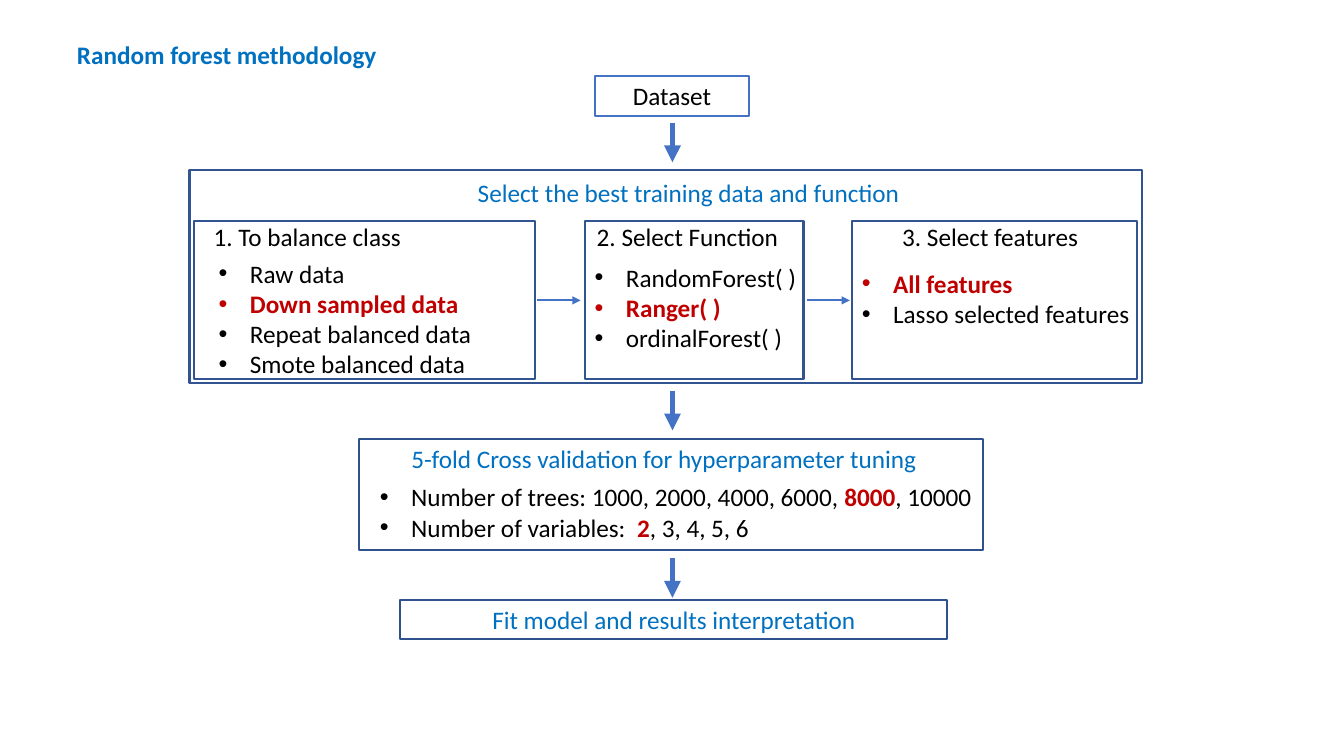
import dataclasses
import typing

import lxml.etree
import pptx
import pptx.dml.color
import pptx.enum.shapes
import pptx.enum.text
import pptx.oxml.ns
import pptx.util

Inches = pptx.util.Inches
Pt = pptx.util.Pt
RGBColor = pptx.dml.color.RGBColor
Align = pptx.enum.text.PP_ALIGN

BLACK = RGBColor(0x00, 0x00, 0x00)
RED = RGBColor(0xC0, 0x00, 0x00)
HEADING_BLUE = RGBColor(0x00, 0x70, 0xC0)
ARROW_BLUE = RGBColor(0x44, 0x72, 0xC4)
PANEL_BLUE = RGBColor(0x32, 0x54, 0x91)
STEP_BLUE = RGBColor(0x2F, 0x52, 0x8F)

FONT_FORMAT = {"name": "Calibri", "size": Pt(18)}
FRAME_FORMAT = {"vertical_anchor": pptx.enum.text.MSO_ANCHOR.TOP}
BULLET_INDENT = Inches(0.31)
FLOW_X = 6.67
STEP_TOP, STEP_HEIGHT = 2.19, 1.57
STEP_ARROW_Y = 2.98


@dataclasses.dataclass(frozen=True)
class Box:
    left: float
    top: float
    width: float
    height: float
    color: RGBColor


@dataclasses.dataclass(frozen=True)
class Words:
    text: str
    color: RGBColor = BLACK
    bold: bool = False


@dataclasses.dataclass(frozen=True)
class Label:
    left: float
    top: float
    width: float
    height: float
    lines: typing.Tuple[typing.Tuple[Words, ...], ...]
    alignment: Align = Align.LEFT
    bulleted: bool = False
    wrap: bool = True


@dataclasses.dataclass(frozen=True)
class Arrow:
    start_x: float
    start_y: float
    end_x: float
    end_y: float
    weight: float


def plain(text: str) -> typing.Tuple[Words, ...]:
    return (Words(text),)


def chosen(text: str) -> typing.Tuple[Words, ...]:
    return (Words(text, RED, True),)


def heading(text: str, bold: bool = False) -> typing.Tuple[Words, ...]:
    return (Words(text, HEADING_BLUE, bold),)


BOXES = [
    Box(5.9, 0.75, 1.53, 0.4, ARROW_BLUE),
    Box(1.88, 1.69, 9.45, 2.11, PANEL_BLUE),
    *(
        Box(left, STEP_TOP, width, STEP_HEIGHT, PANEL_BLUE)
        for left, width in ((1.92, 3.39), (5.8, 2.17), (8.45, 2.83))
    ),
    Box(3.56, 4.36, 6.19, 1.1, STEP_BLUE),
    Box(3.97, 5.95, 5.42, 0.39, STEP_BLUE),
]

LABELS = [
    Label(0.65, 0.34, 3.2, 0.4, (heading("Random forest methodology", True),),
          Align.CENTER, wrap=False),
    Label(5.9, 0.75, 1.53, 0.4, (plain("Dataset"),), Align.CENTER),
    Label(4.64, 1.71, 4.44, 0.4,
          (heading("Select the best training data and function"),), wrap=False),
    Label(2.02, 2.15, 3.83, 0.4, (plain("1. To balance class"),)),
    Label(2.07, 2.51, 2.99, 1.31,
          (plain("Raw data"), chosen("Down sampled data"),
           plain("Repeat balanced data"), plain("Smote balanced data")),
          bulleted=True),
    Label(5.82, 2.15, 2.08, 0.4, (plain("2. Select Function"),)),
    Label(5.8, 2.55, 2.3, 1.01,
          (plain("RandomForest( )"), chosen("Ranger( )"), plain("ordinalForest( )")),
          bulleted=True),
    Label(8.85, 2.15, 1.97, 0.4, (plain("3. Select features"),), wrap=False),
    Label(8.45, 2.61, 2.86, 0.71,
          (chosen("All features"), plain("Lasso selected features")), bulleted=True),
    Label(3.25, 4.35, 6.67, 0.4,
          (heading("5-fold Cross validation for hyperparameter tuning"),), Align.CENTER),
    Label(3.67, 4.73, 6.27, 0.71,
          (plain("Number of trees: 1000, 2000, 4000, 6000, ")
           + chosen("8000") + plain(", 10000"),
           plain("Number of variables:  ") + chosen("2") + plain(", 3, 4, 5, 6")),
          bulleted=True),
    Label(3.35, 5.95, 6.67, 0.4,
          (heading("Fit model and results interpretation"),), Align.CENTER),
]

ARROWS = [
    *(Arrow(x, STEP_ARROW_Y, x + 0.43, STEP_ARROW_Y, 1.5) for x in (5.33, 8.0)),
    *(Arrow(FLOW_X, y, FLOW_X, y + 0.39, 4) for y in (1.22, 3.88, 5.54)),
]


def apply_format(target: typing.Any, values: typing.Dict[str, typing.Any]) -> None:
    for attribute, value in values.items():
        setattr(target, attribute, value)


def draw_box(slide: pptx.slide.Slide, box: Box) -> None:
    shape = slide.shapes.add_shape(
        pptx.enum.shapes.MSO_SHAPE.RECTANGLE,
        Inches(box.left), Inches(box.top), Inches(box.width), Inches(box.height))
    shape.shadow.inherit = False
    shape.fill.background()
    shape.line.color.rgb = box.color
    shape.line.width = Pt(1.5)


def add_bullet(paragraph: typing.Any) -> None:
    properties = paragraph._p.get_or_add_pPr()
    properties.set("marL", str(BULLET_INDENT))
    properties.set("indent", str(-BULLET_INDENT))
    font = lxml.etree.SubElement(properties, pptx.oxml.ns.qn("a:buFont"))
    font.set("typeface", "Arial")
    bullet = lxml.etree.SubElement(properties, pptx.oxml.ns.qn("a:buChar"))
    bullet.set("char", "•")


def draw_label(slide: pptx.slide.Slide, label: Label) -> None:
    shape = slide.shapes.add_textbox(
        Inches(label.left), Inches(label.top), Inches(label.width), Inches(label.height))
    frame = shape.text_frame
    apply_format(frame, {**FRAME_FORMAT, "word_wrap": label.wrap})
    for index, line in enumerate(label.lines):
        paragraph = frame.add_paragraph() if index else frame.paragraphs[0]
        paragraph.alignment = label.alignment
        if label.bulleted:
            add_bullet(paragraph)
        for words in line:
            run = paragraph.add_run()
            run.text = words.text
            apply_format(run.font, {**FONT_FORMAT, "bold": words.bold})
            run.font.color.rgb = words.color


def draw_arrow(slide: pptx.slide.Slide, arrow: Arrow) -> None:
    connector = slide.shapes.add_connector(
        pptx.enum.shapes.MSO_CONNECTOR.STRAIGHT,
        Inches(arrow.start_x), Inches(arrow.start_y),
        Inches(arrow.end_x), Inches(arrow.end_y))
    connector.line.color.rgb = ARROW_BLUE
    connector.line.width = Pt(arrow.weight)
    properties = connector._element.spPr
    outline = properties.find(pptx.oxml.ns.qn("a:ln"))
    head = lxml.etree.SubElement(outline, pptx.oxml.ns.qn("a:tailEnd"))
    head.set("type", "triangle")
    lxml.etree.SubElement(properties, pptx.oxml.ns.qn("a:effectLst"))


def main() -> None:
    presentation = pptx.Presentation()
    presentation.slide_width = Inches(13.33)
    presentation.slide_height = Inches(7.5)
    slide = presentation.slides.add_slide(presentation.slide_layouts[6])
    for box in BOXES:
        draw_box(slide, box)
    for label in LABELS:
        draw_label(slide, label)
    for arrow in ARROWS:
        draw_arrow(slide, arrow)
    presentation.save("out.pptx")


if __name__ == "__main__":
    main()
